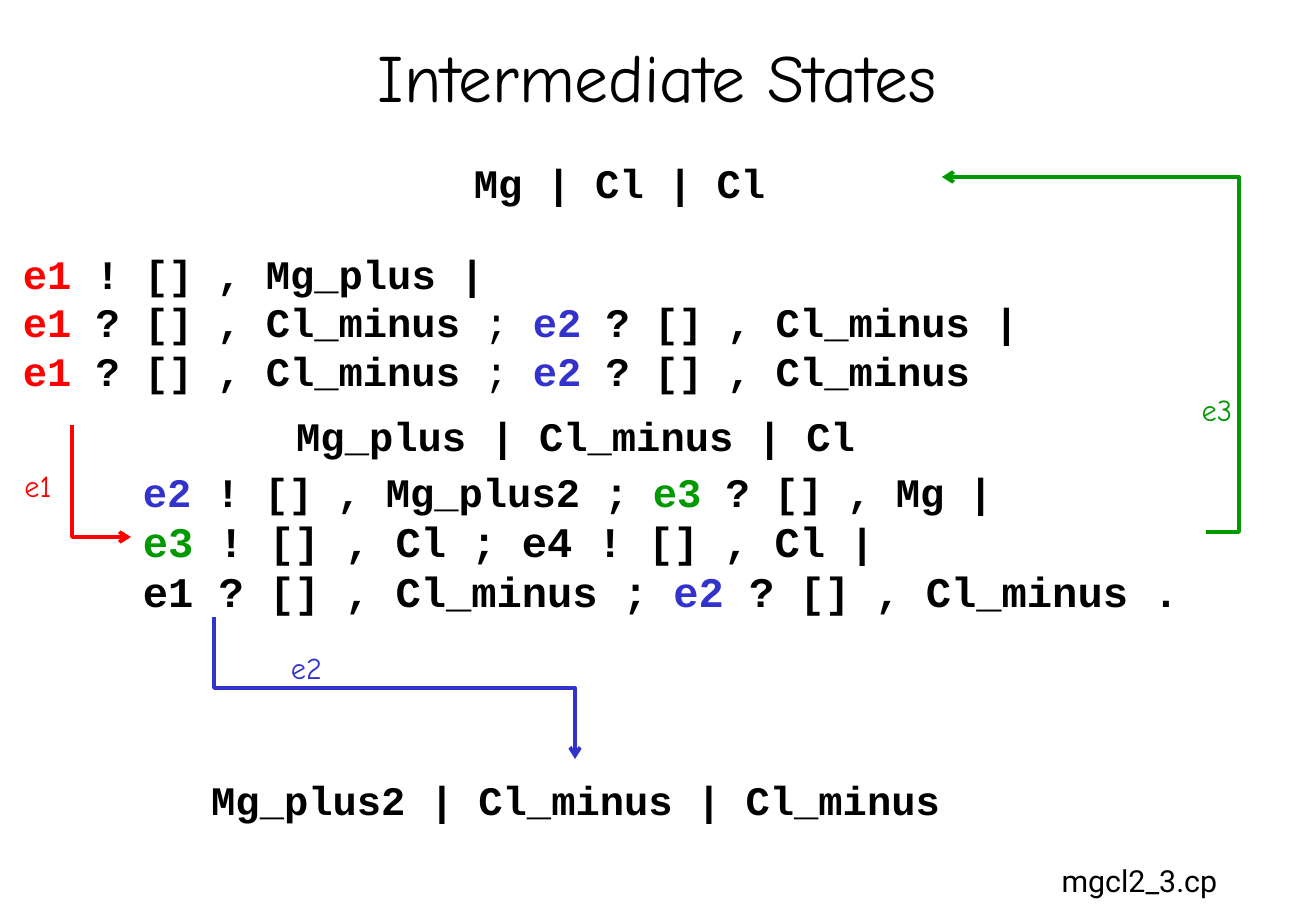
from lxml import etree
from pptx import Presentation
from pptx.dml.color import RGBColor
from pptx.enum.shapes import MSO_CONNECTOR
from pptx.enum.text import MSO_ANCHOR, MSO_AUTO_SIZE, PP_ALIGN
from pptx.oxml.ns import qn
from pptx.util import Pt

ELBOW = MSO_CONNECTOR.ELBOW
TOP, MID = MSO_ANCHOR.TOP, MSO_ANCHOR.MIDDLE
LEFT, MIDDLE = PP_ALIGN.LEFT, PP_ALIGN.CENTER
FIXED = MSO_AUTO_SIZE.NONE

BLACK = RGBColor(0x00, 0x00, 0x00)
RED = RGBColor(0xFF, 0x00, 0x00)
BLUE = RGBColor(0x33, 0x33, 0xCC)
GREEN = RGBColor(0x00, 0x99, 0x00)
HAND, CODE, SANS = "Comic Neue", "Courier New", "Roboto"

PX = 914400 / 121.4
WIDE, HIGH = 1316, 911

# Content: a line is a list of runs (text, format changes)
TITLE = "Intermediate States"
TITLE_BOX = (98, 0, 1118, 152)

STATES = [
    ("Mg | Cl | Cl", (296, 152, 647, 70)),
    ("Mg_plus | Cl_minus | Cl", (11, 405, 1129, 81)),
    ("Mg_plus2 | Cl_minus | Cl_minus", (11, 769, 1129, 81)),
]

E1, E2, E3 = {"color": RED}, {"color": BLUE}, {"color": GREEN}
THIN, BIG = {"bold": False}, {"size": 25}
CHOICE = [("e1 ", E1), ("? [] , Cl_minus ", {}), ("; ", THIN), ("e2", E2)]

FIRST = [
    [("e1", E1), (" ! [] , Mg_plus |", {})],
    CHOICE + [(" ? [] , Cl_minus |", {})],
    CHOICE + [(" ? [] , Cl_minus", {})],
]
SECOND = [
    [("e2", E2), (" ! [] , Mg_plus2 ; ", {}), ("e3", E3), (" ? [] , Mg |", {})],
    [("e3", E3 | BIG), (" ! [] , Cl ; e4 ! [] , Cl ", BIG), ("|", {})],
    [("e1 ? [] , Cl_minus ; ", BIG), ("e2 ", E2 | BIG), ("? [] , Cl_minus .", BIG)],
]
RULES = [
    (FIRST, (11, 243, 1348, 152), TOP),
    (SECOND, (131, 481, 1184, 121), MID),
]

LABELS = [
    ("e1", (0, 455, 76, 61), HAND, RED),
    ("e2", (263, 637, 87, 61), HAND, BLUE),
    ("e3", (1184, 364, 66, 91), HAND, GREEN),
    ("mgcl2_3.cp", (964, 850, 351, 61), SANS, BLACK),
]

# Start, end, colour, preset, bend in 1/1000 %, leaves vertically
ARROWS = [
    ((72, 425), (131, 537), RED, "bentConnector2", None, True),
    ((214, 617), (575, 759), BLUE, "bentConnector3", 50000, True),
    ((1206, 532), (942, 177), GREEN, "bentConnector3", -12500, False),
]


def emu(n):
    return round(n * PX)


def write(shape, lines, size=24, font=CODE, color=BLACK, bold=False,
          align=MIDDLE, anchor=MID, wrap=True):
    """Fill a shape with one paragraph of formatted lines."""
    frame = shape.text_frame
    frame.auto_size = FIXED
    frame.word_wrap = wrap
    frame.vertical_anchor = anchor
    para = frame.paragraphs[0]
    para.alignment = align
    para.space_before = Pt(0)
    if isinstance(lines, str):
        lines = [[(lines, {})]]
    for i, line in enumerate(lines):
        if i:
            para.add_line_break()
        for text, change in line:
            style = {"size": size, "color": color, "bold": bold} | change
            run = para.add_run()
            run.text = text
            run.font.name = font
            run.font.size = Pt(style["size"])
            run.font.bold = style["bold"]
            run.font.color.rgb = style["color"]


def add_box(slide, box, lines, **style):
    write(slide.shapes.add_textbox(*map(emu, box)), lines, **style)


def add_arrow(slide, start, end, color, preset, bend, turned):
    (x1, y1), (x2, y2) = start, end
    if turned:
        # A quarter turn about the centre swaps width and height
        cx, cy = (x1 + x2) / 2, (y1 + y2) / 2
        dx, dy = (x2 - x1) / 2, (y2 - y1) / 2
        x1, y1, x2, y2 = cx + dy, cy - dx, cx - dy, cy + dx
    arrow = slide.shapes.add_connector(ELBOW, *map(emu, (x1, y1, x2, y2)))
    arrow.line.color.rgb = color
    arrow.line.width = Pt(2.25)
    props = arrow.element.spPr
    if turned:
        props.find(qn("a:xfrm")).set("rot", str(270 * 60000))
    shape = props.find(qn("a:prstGeom"))
    shape.set("prst", preset)
    if bend is not None:
        guide = etree.SubElement(shape.find(qn("a:avLst")), qn("a:gd"))
        guide.set("name", "adj1")
        guide.set("fmla", f"val {bend}")
    etree.SubElement(props.find(qn("a:ln")), qn("a:tailEnd")).set("type", "arrow")
    etree.SubElement(props, qn("a:effectLst"))


def main():
    deck = Presentation()
    deck.slide_width, deck.slide_height = emu(WIDE), emu(HIGH)
    slide = deck.slides.add_slide(deck.slide_layouts[5])

    # Title
    title = slide.shapes.title
    title.left, title.top, title.width, title.height = map(emu, TITLE_BOX)
    write(title, TITLE, size=40, font=HAND)

    # States and the rules between them
    for text, box in STATES:
        add_box(slide, box, text, bold=True, anchor=TOP)
    for lines, box, anchor in RULES:
        add_box(slide, box, lines, bold=True, align=LEFT, anchor=anchor)

    # Event arrows
    for arrow in ARROWS:
        add_arrow(slide, *arrow)

    # Event labels and file name
    for text, box, font, color in LABELS:
        add_box(slide, box, text, size=18, font=font, color=color, wrap=False)

    deck.save("out.pptx")


if __name__ == "__main__":
    main()
